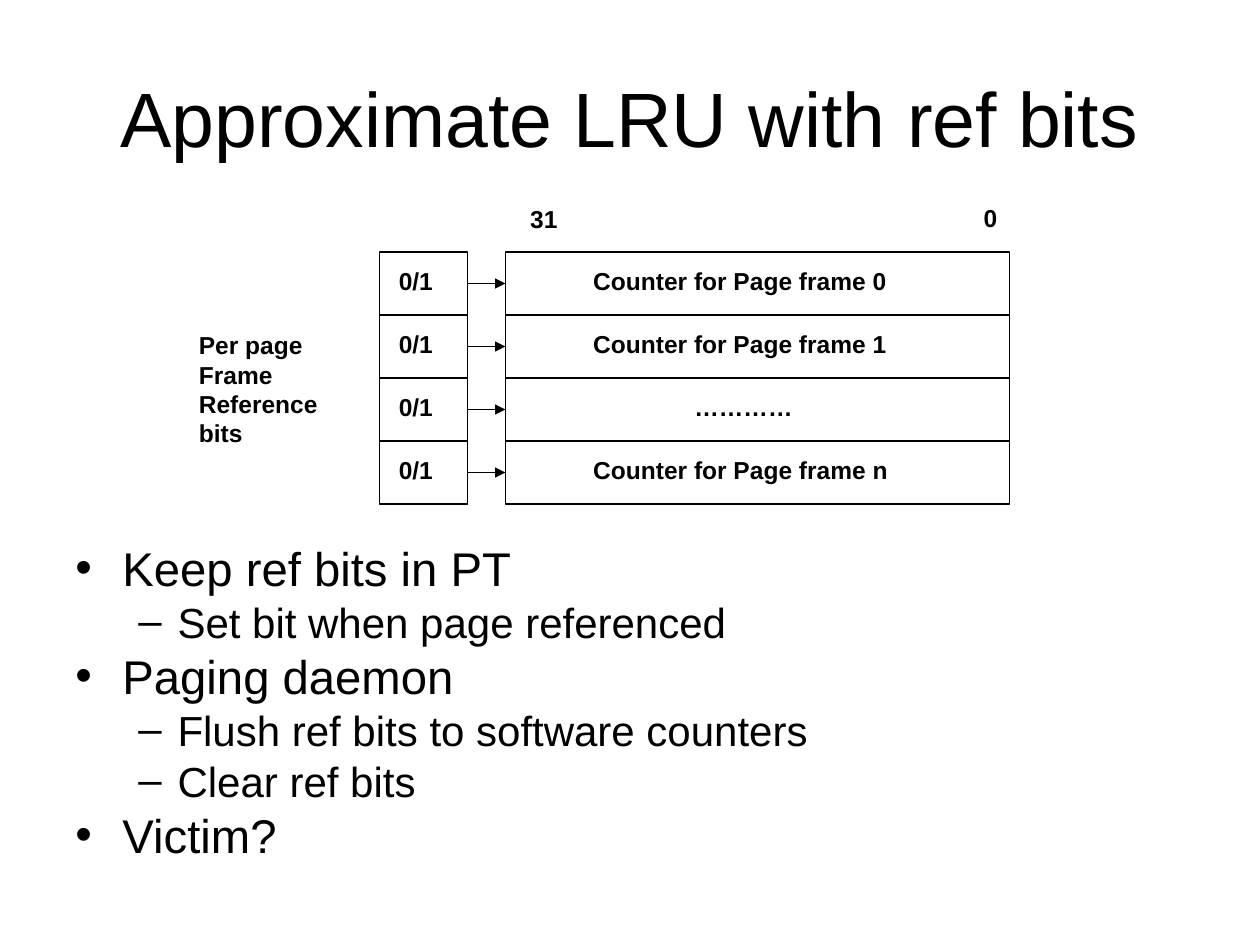
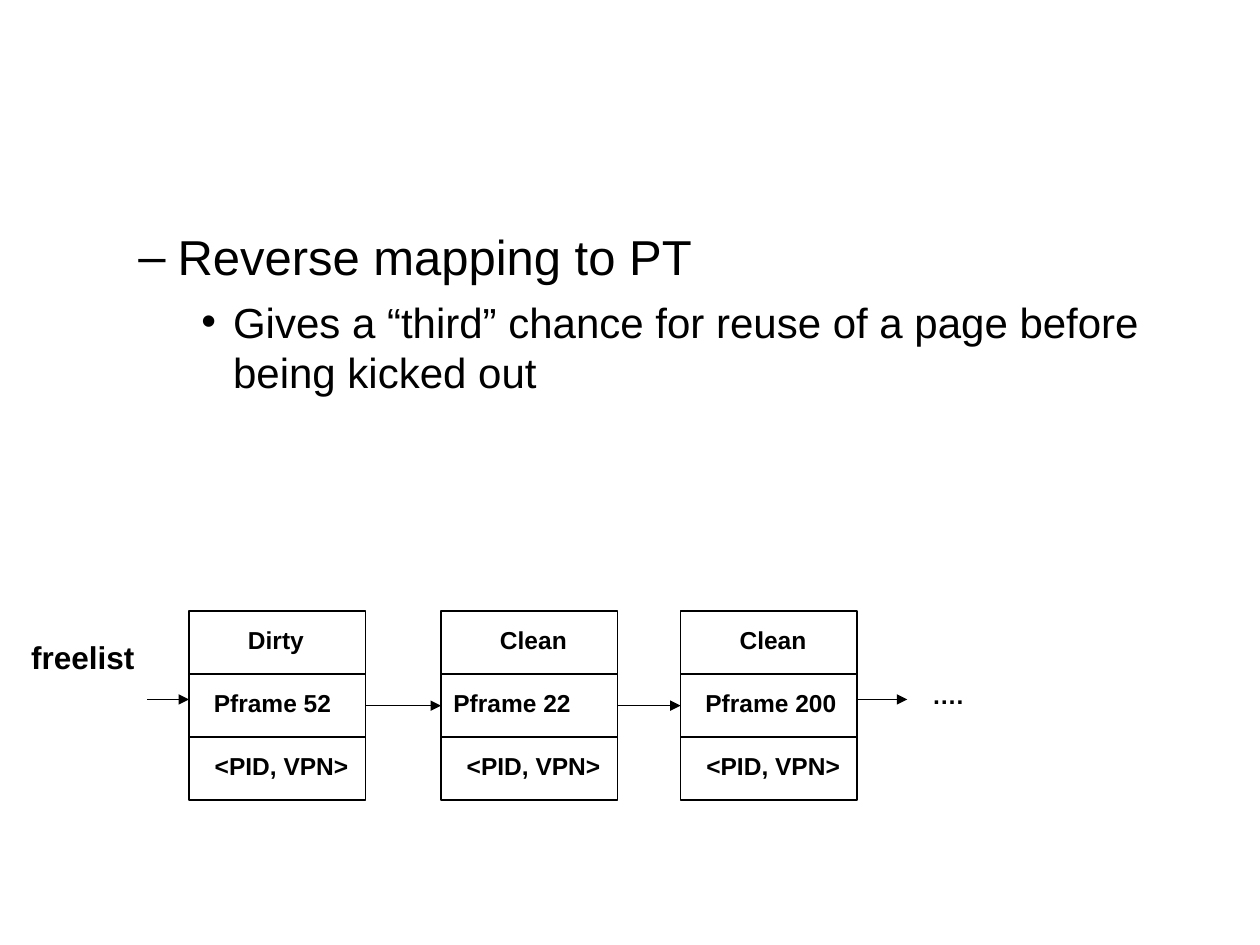
from dataclasses import dataclass

from pptx import Presentation
from pptx.dml.color import RGBColor
from pptx.enum.shapes import MSO_CONNECTOR, MSO_SHAPE
from pptx.enum.text import MSO_ANCHOR, PP_ALIGN
from pptx.oxml.ns import qn
from pptx.oxml.xmlchemy import OxmlElement
from pptx.presentation import Presentation as Deck
from pptx.slide import Slide
from pptx.util import Cm, Pt

COLORS = {"ink": "000000", "paper": "FFFFFF"}
FONT = "Arial"
ROW_HEIGHT = 1.27
LABEL_DROP = 0.16
LABEL_HEIGHT = 0.86
INSET = 0.25


@dataclass(frozen=True)
class Bullet:
    mark: str
    level: int
    left: float
    hanging: float


@dataclass(frozen=True)
class Item:
    text: str
    bullet: Bullet
    size: float
    space_before: float


@dataclass(frozen=True)
class FreeNode:
    left: float
    state: str
    frame: str
    frame_shift: float


TOP_BULLET = Bullet("•", 0, 0.95, 0.95)
DASH = Bullet("–", 1, 2.06, 0.79)
INNER_BULLET = Bullet("•", 2, 3.18, 0.64)


def color(name: str) -> RGBColor:
    return RGBColor.from_string(COLORS[name])


def add_bullet(paragraph, bullet: Bullet) -> None:
    paragraph.level = bullet.level
    properties = paragraph._p.get_or_add_pPr()
    properties.set("marL", str(Cm(bullet.left)))
    properties.set("indent", str(-Cm(bullet.hanging)))
    bullet_color = OxmlElement("a:buClr")
    color_value = OxmlElement("a:srgbClr")
    color_value.set("val", COLORS["ink"])
    bullet_color.append(color_value)
    bullet_font = OxmlElement("a:buFont")
    bullet_font.set("typeface", FONT)
    character = OxmlElement("a:buChar")
    character.set("char", bullet.mark)
    properties.extend([bullet_color, bullet_font, character])


def write(paragraph, text: str, *, size: float, bold: bool = False) -> None:
    run = paragraph.add_run()
    run.text = text
    run.font.name = FONT
    run.font.size = Pt(size)
    run.font.bold = bold
    run.font.color.rgb = color("ink")


def add_text(slide: Slide, text: str, left: float, top: float, width: float,
             height: float = LABEL_HEIGHT, *, size: float = 14, bold: bool = True,
             indent: float = 0, align=PP_ALIGN.LEFT, anchor=MSO_ANCHOR.TOP) -> None:
    shape = slide.shapes.add_textbox(Cm(left), Cm(top), Cm(width), Cm(height))
    frame = shape.text_frame
    frame.word_wrap = True
    frame.vertical_anchor = anchor
    frame.margin_left = Cm(INSET + indent)
    frame.margin_right = 0 if align == PP_ALIGN.LEFT else Cm(INSET)
    for index, line in enumerate(text.split("\n")):
        paragraph = frame.add_paragraph() if index else frame.paragraphs[0]
        paragraph.alignment = align
        write(paragraph, line, size=size, bold=bold)


def add_list(slide: Slide, items: list[Item], top: float, height: float,
             line_spacing: float = 1.0) -> None:
    shape = slide.shapes.add_textbox(Cm(1.27), Cm(top), Cm(22.86), Cm(height))
    frame = shape.text_frame
    frame.word_wrap = True
    for index, item in enumerate(items):
        paragraph = frame.add_paragraph() if index else frame.paragraphs[0]
        add_bullet(paragraph, item.bullet)
        paragraph.line_spacing = line_spacing
        if index:
            paragraph.space_before = Pt(item.space_before)
        write(paragraph, item.text, size=item.size)


def add_cell(slide: Slide, text: str, left: float, top: float, width: float, *,
             shift: float = 0, indent: float = 0) -> None:
    shape = slide.shapes.add_shape(
        MSO_SHAPE.RECTANGLE, Cm(left), Cm(top), Cm(width), Cm(ROW_HEIGHT))
    shape.shadow.inherit = False
    shape.fill.background()
    shape.line.color.rgb = color("ink")
    shape.line.width = Pt(0.75)
    add_text(slide, text, left + shift, top + LABEL_DROP, width - shift, indent=indent)


def add_arrow(slide: Slide, start: float, end: float, y: float) -> None:
    connector = slide.shapes.add_connector(
        MSO_CONNECTOR.STRAIGHT, Cm(start), Cm(y), Cm(end), Cm(y))
    connector.line.color.rgb = color("ink")
    connector.line.width = Pt(0.75)
    head = OxmlElement("a:tailEnd")
    head.set("type", "triangle")
    properties = connector._element.spPr
    properties.find(qn("a:ln")).append(head)
    properties.append(OxmlElement("a:effectLst"))


def add_slide(presentation: Deck) -> Slide:
    slide = presentation.slides.add_slide(presentation.slide_layouts[6])
    slide.background.fill.solid()
    slide.background.fill.fore_color.rgb = color("paper")
    return slide


def build_reference_bits(presentation: Deck) -> None:
    slide = add_slide(presentation)
    add_text(slide, "Approximate LRU with ref bits", 1.27, 0.76, 22.86, 3.18,
             size=44, bold=False, align=PP_ALIGN.CENTER, anchor=MSO_ANCHOR.MIDDLE)
    add_text(slide, "31", 10.44, 3.99, 1.19)
    add_text(slide, "0", 19.58, 3.96, 0.91)
    add_text(slide, "Per page\nFrame\nReference\nbits", 3.76, 6.53, 3.66, 2.64)
    bit_left, bit_width, counter_left = 7.65, 1.78, 10.19
    counters = [("Counter for Page frame 0", 1.52), ("Counter for Page frame 1", 1.52),
                ("…………", 3.56), ("Counter for Page frame n", 1.52)]
    for row, (text, shift) in enumerate(counters):
        top = 5.08 + row * ROW_HEIGHT
        add_cell(slide, "0/1", bit_left, top, bit_width, indent=0.14)
        add_cell(slide, text, counter_left, top, 10.16, shift=shift)
        add_arrow(slide, bit_left + bit_width, counter_left, top + ROW_HEIGHT / 2)
    add_list(slide, [
        Item("Keep ref bits in PT", TOP_BULLET, 27, 6.8),
        Item("Set bit when page referenced", DASH, 24, 6),
        Item("Paging daemon", TOP_BULLET, 27, 6.8),
        Item("Flush ref bits to software counters", DASH, 24, 6),
        Item("Clear ref bits", DASH, 24, 6),
        Item("Victim?", TOP_BULLET, 27, 6.8),
    ], 10.97, 6.63, 0.8)


def build_free_list(presentation: Deck) -> None:
    slide = add_slide(presentation)
    add_list(slide, [
        Item("Reverse mapping to PT", DASH, 28, 7),
        Item("Gives a “third” chance for reuse of a page before being kicked out",
             INNER_BULLET, 24, 6),
    ], 4.45, 4.95)
    nodes = [FreeNode(3.81, "Dirty", "Pframe 52", INSET),
             FreeNode(8.89, "Clean", "Pframe 22", 0),
             FreeNode(13.72, "Clean", "Pframe 200", INSET)]
    top, width = 12.32, 3.56
    for node in nodes:
        add_cell(slide, node.state, node.left, top, width, shift=INSET, indent=0.69)
        add_cell(slide, node.frame, node.left, top + ROW_HEIGHT, width,
                 shift=node.frame_shift)
        add_cell(slide, "<PID, VPN>", node.left, top + 2 * ROW_HEIGHT, width, indent=0.27)
    for node, following in zip(nodes, nodes[1:]):
        add_arrow(slide, node.left + width, following.left, top + 1.5 * ROW_HEIGHT)
    add_text(slide, "freelist", 0.38, 12.73, 2.59, 1.02, size=18)
    add_arrow(slide, 2.97, nodes[0].left, 14.1)
    add_arrow(slide, nodes[-1].left + width, 18.29, 14.1)
    add_text(slide, "….", 18.54, 13.59, 1.14)


def main() -> None:
    presentation = Presentation()
    presentation.slide_width = Cm(25.4)
    presentation.slide_height = Cm(19.05)
    build_reference_bits(presentation)
    build_free_list(presentation)
    presentation.save("out.pptx")


if __name__ == "__main__":
    main()
